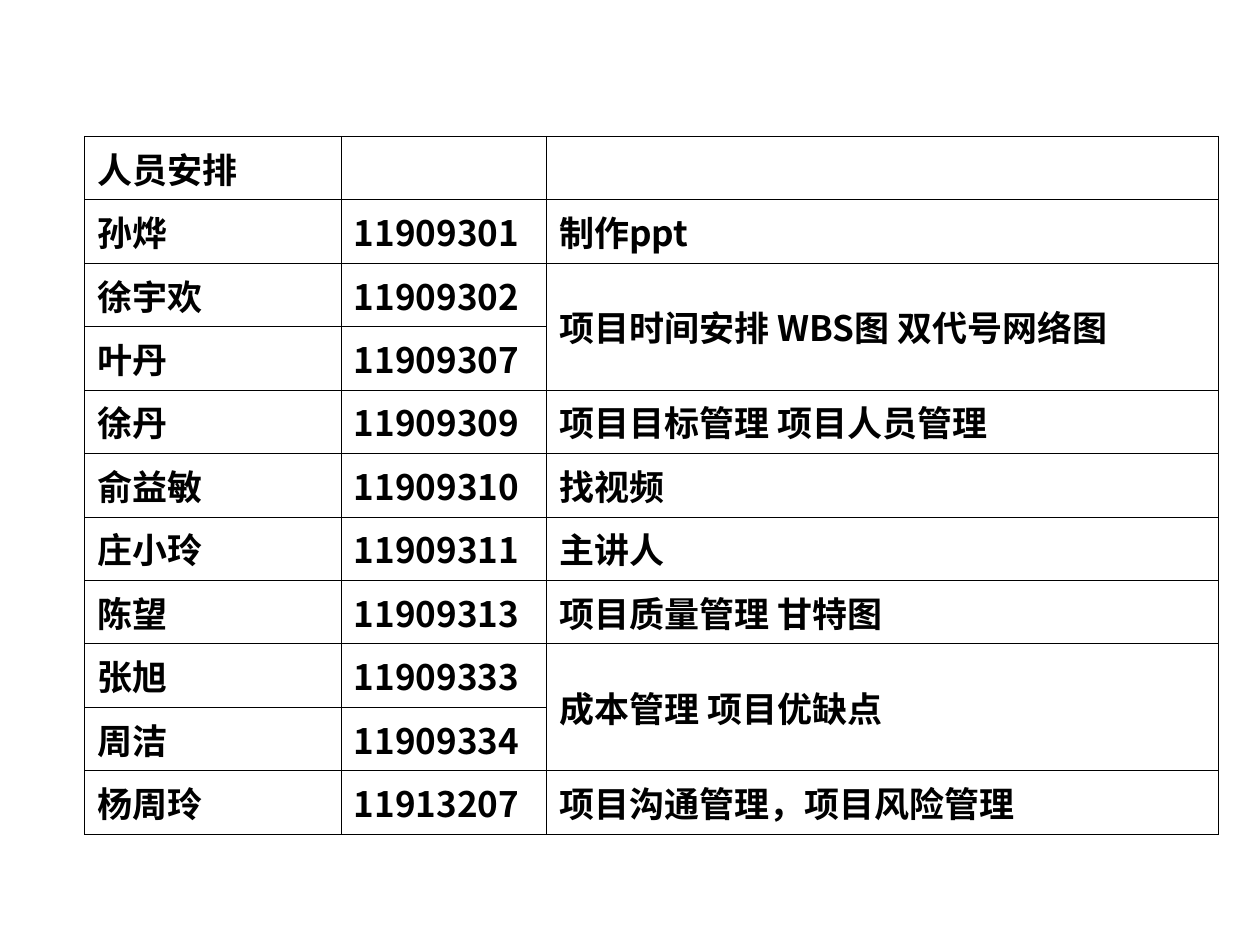
import pptx
import pptx.dml.color
import pptx.enum.text
import pptx.oxml
import pptx.oxml.ns
import pptx.util

COLORS = {"ink": "000000", "paper": "FFFFFF"}
FONT = "Noto Sans CJK SC"
SLIDE_WIDTH, SLIDE_HEIGHT = pptx.util.Inches(10), pptx.util.Inches(7.5)
COLUMN_SHARES = (0.2265, 0.181, 0.5925)
BORDER_WIDTH = pptx.util.Pt(0.25)

ASSIGNMENTS = [
    ("人员安排", "", ""),
    ("孙烨", "11909301", "制作ppt"),
    ("徐宇欢", "11909302", "项目时间安排 WBS图 双代号网络图"),
    ("叶丹", "11909307", None),
    ("徐丹", "11909309", "项目目标管理 项目人员管理"),
    ("俞益敏", "11909310", "找视频"),
    ("庄小玲", "11909311", "主讲人"),
    ("陈望", "11909313", "项目质量管理 甘特图"),
    ("张旭", "11909333", "成本管理 项目优缺点"),
    ("周洁", "11909334", None),
    ("杨周玲", "11913207", "项目沟通管理，项目风险管理"),
]


def color(name):
    return pptx.dml.color.RGBColor.from_string(COLORS[name])


def style_cell(cell):
    properties = cell._tc.get_or_add_tcPr()
    for side in ("lnL", "lnR", "lnT", "lnB"):
        properties.append(pptx.oxml.parse_xml(
            f'<a:{side} {pptx.oxml.ns.nsdecls("a")} w="{BORDER_WIDTH}"><a:solidFill>'
            f'<a:srgbClr val="{COLORS["ink"]}"/></a:solidFill></a:{side}>'))
    cell.fill.solid()
    cell.fill.fore_color.rgb = color("paper")
    cell.vertical_anchor = pptx.enum.text.MSO_ANCHOR.MIDDLE


def write_cell(cell, wording):
    cell.text = wording
    font = cell.text_frame.paragraphs[0].font
    font.size = pptx.util.Pt(20)
    font.bold = True
    font.color.rgb = color("ink")
    font.name = FONT
    font._element.append(pptx.oxml.parse_xml(
        f'<a:ea {pptx.oxml.ns.nsdecls("a")} typeface="{FONT}"/>'))


def add_assignment_table(slide, left, top, width, height):
    roster = slide.shapes.add_table(
        len(ASSIGNMENTS), len(COLUMN_SHARES), left, top, width, height).table
    roster.first_row = roster.horz_banding = False
    for column, share in zip(roster.columns, COLUMN_SHARES):
        column.width = int(width * share)
    for row, assignment in enumerate(ASSIGNMENTS):
        for column, wording in enumerate(assignment):
            cell = roster.cell(row, column)
            style_cell(cell)
            if wording is None:
                roster.cell(row - 1, column).merge(cell)
            else:
                write_cell(cell, wording)


def main():
    deck = pptx.Presentation()
    deck.slide_width, deck.slide_height = SLIDE_WIDTH, SLIDE_HEIGHT
    slide = deck.slides.add_slide(deck.slide_layouts[6])
    add_assignment_table(
        slide, pptx.util.Inches(0.67), pptx.util.Inches(1.08),
        int(SLIDE_WIDTH * 0.9), pptx.util.Inches(5.54))
    deck.save("out.pptx")


if __name__ == "__main__":
    main()
